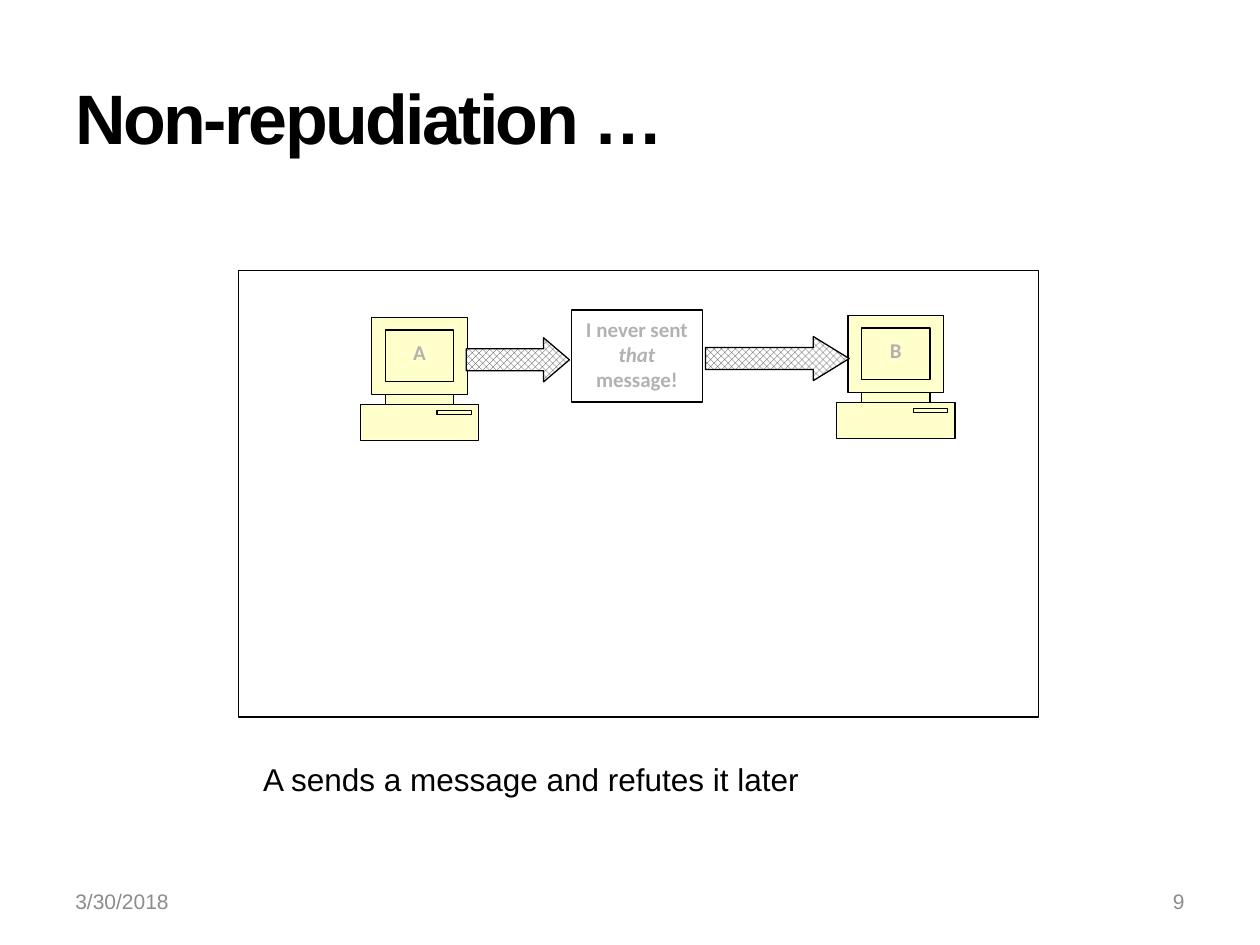
from copy import deepcopy

from pptx import Presentation
from pptx.dml.color import RGBColor
from pptx.enum.dml import MSO_PATTERN
from pptx.enum.shapes import MSO_SHAPE
from pptx.enum.text import MSO_ANCHOR, PP_ALIGN
from pptx.oxml.ns import qn
from pptx.util import Pt

BLACK = RGBColor(0x00, 0x00, 0x00)
WHITE = RGBColor(0xFF, 0xFF, 0xFF)
CREAM = RGBColor(0xFF, 0xFF, 0xCC)
LABEL_GRAY = RGBColor(0xB2, 0xB2, 0xB2)
FOOTER_GRAY = RGBColor(0x8C, 0x8C, 0x8C)
HATCH_GRAY = RGBColor(0x33, 0x33, 0x33)

TITLE = "Non-repudiation …"
CAPTION = "A sends a message and refutes it later"
MESSAGE = [("I never sent ", False), ("that", True), (" message!", False)]
FOOTERS = [("3/30/2018", 36, PP_ALIGN.LEFT), ("9", 516.24, PP_ALIGN.RIGHT)]
COMPUTERS = [("A", 205.9, 181.5), ("B", 478.1, 180.3)]
# left, top, width, height, head length as a share of the height
ARROWS = [(403.2, 192.3, 82.1, 25.2, 0.813), (266.4, 193, 59, 25.2, 0.586)]


def rectangle(left, top, right, bottom):
    return [(left, top), (left, bottom), (right, bottom), (right, top)]


# Computer parts, measured from its top left corner
OUTLINE = [
    (53.3, 49.7), (53.3, 43.9), (61.2, 43.9), (61.2, 0), (6.5, 0), (6.5, 43.9),
    (14.4, 43.9), (14.4, 49.7), (0, 49.7), (0, 70.3), (67.7, 70.3), (67.7, 49.7),
]
NECK = rectangle(14.4, 43.9, 53.3, 49.7)
SCREEN = rectangle(14.4, 7.2, 53.3, 36.7)
DISK_SLOT = rectangle(43.9, 53.3, 63.4, 55.4)


def style_font(paragraph, name, size, color, bold=False):
    font = paragraph.font
    font.name, font.size, font.bold = name, Pt(size), bold
    font.color.rgb = color


def style_shape(shape, color=None):
    shape.shadow.inherit = False
    shape.line.color.rgb = BLACK
    shape.line.width = Pt(0.75)
    if color is not None:
        shape.fill.solid()
        shape.fill.fore_color.rgb = color


def add_box(slide, left, top, width, height):
    box = slide.shapes.add_shape(
        MSO_SHAPE.RECTANGLE, Pt(left), Pt(top), Pt(width), Pt(height))
    style_shape(box, WHITE)
    return box


def add_text(slide, text, left, top, width, height, size, color):
    box = slide.shapes.add_textbox(Pt(left), Pt(top), Pt(width), Pt(height))
    box.text_frame.word_wrap = True
    para = box.text_frame.paragraphs[0]
    para.text = text
    style_font(para, "Arial", size, color)
    return box.text_frame


def style_label(frame):
    frame.word_wrap = True
    frame.vertical_anchor = MSO_ANCHOR.TOP
    para = frame.paragraphs[0]
    para.alignment = PP_ALIGN.CENTER
    style_font(para, "Calibri", 12, LABEL_GRAY, bold=True)


def split_contours(shape):
    """Give each contour its own path, so that inner ones are filled too."""
    path = next(shape.element.iter(qn("a:path")))
    steps = list(path)
    for step in steps:
        path.remove(step)
    blank = deepcopy(path)
    current = path
    for step in steps:
        if step.tag == qn("a:moveTo") and len(current):
            current = deepcopy(blank)
            path.getparent().append(current)
        current.append(step)


def add_computer(slide, name, left, top):
    contours = [[(Pt(x), Pt(y)) for x, y in part]
                for part in (OUTLINE, NECK, SCREEN, DISK_SLOT)]
    builder = slide.shapes.build_freeform(*contours[0][0], scale=1.0)
    for index, points in enumerate(contours):
        if index:
            builder.move_to(*points[0])
        builder.add_line_segments(points[1:], close=True)
    computer = builder.convert_to_shape(Pt(left), Pt(top))
    split_contours(computer)
    style_shape(computer, CREAM)
    frame = computer.text_frame
    frame.text = name
    frame.margin_top = Pt(12.4)
    style_label(frame)


def add_arrow(slide, left, top, width, height, head):
    arrow = slide.shapes.add_shape(
        MSO_SHAPE.RIGHT_ARROW, Pt(left), Pt(top), Pt(width), Pt(height))
    style_shape(arrow)
    arrow.adjustments[0] = 0.5
    arrow.adjustments[1] = head
    arrow.fill.patterned()
    arrow.fill.pattern = MSO_PATTERN.LARGE_CHECKER_BOARD
    arrow.fill.fore_color.rgb = HATCH_GRAY
    arrow.fill.back_color.rgb = WHITE


def main():
    deck = Presentation()
    deck.slide_width, deck.slide_height = Pt(720), Pt(540)
    slide = deck.slides.add_slide(deck.slide_layouts[5])

    title = slide.shapes.title
    title.left, title.top, title.width, title.height = Pt(36), Pt(21.6), Pt(648), Pt(90)
    title.text_frame.text = TITLE
    title.text_frame.vertical_anchor = MSO_ANCHOR.MIDDLE
    para = title.text_frame.paragraphs[0]
    para.alignment = PP_ALIGN.LEFT
    style_font(para, "Arial", 40, BLACK, bold=True)
    para.runs[0].font._element.set("spc", "-150")

    for text, left, alignment in FOOTERS:
        frame = add_text(slide, text, left, 500.4, 167.76, 28.8, 12, FOOTER_GRAY)
        frame.vertical_anchor = MSO_ANCHOR.MIDDLE
        frame.paragraphs[0].alignment = alignment

    add_box(slide, 136.1, 154.8, 457.2, 254.9)
    for computer in COMPUTERS:
        add_computer(slide, *computer)

    message = add_box(slide, 326.5, 177.1, 75, 52.6)
    for text, italic in MESSAGE:
        span = message.text_frame.paragraphs[0].add_run()
        span.text = text
        span.font.italic = italic
    style_label(message.text_frame)

    for arrow in ARROWS:
        add_arrow(slide, *arrow)

    caption = add_text(slide, CAPTION, 143.3, 434.9, 453.6, 30.2, 18, BLACK)
    caption.paragraphs[0].line_spacing = 0.8

    deck.save("out.pptx")


if __name__ == "__main__":
    main()
